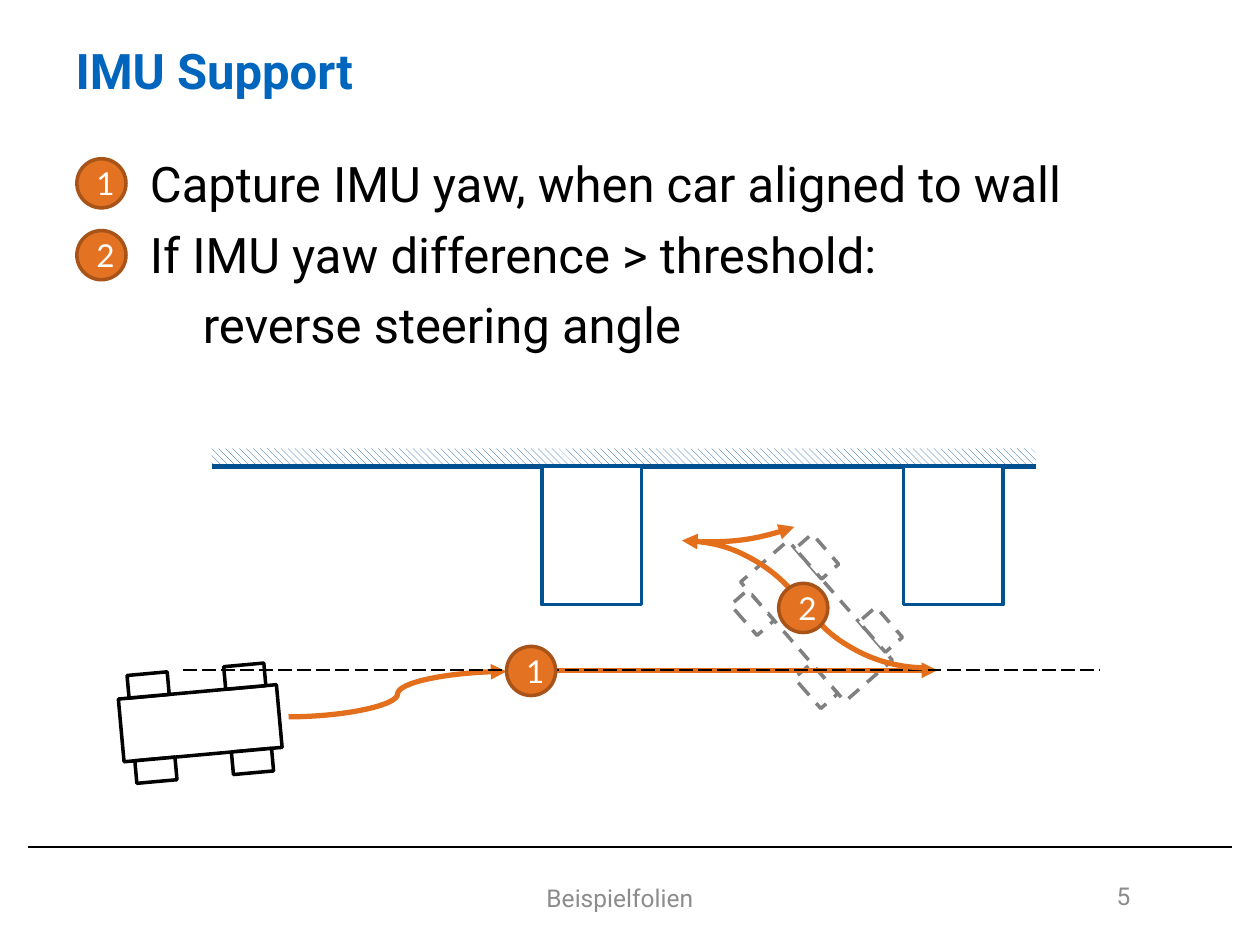
from dataclasses import dataclass
from math import cos, radians, sin

from lxml import etree
from pptx import Presentation
from pptx.dml.color import RGBColor
from pptx.enum.dml import MSO_LINE, MSO_PATTERN
from pptx.enum.shapes import MSO_CONNECTOR, MSO_SHAPE
from pptx.enum.text import MSO_ANCHOR, PP_ALIGN
from pptx.oxml.ns import qn
from pptx.util import Inches, Pt

RECTANGLE, OVAL, ARC = MSO_SHAPE.RECTANGLE, MSO_SHAPE.OVAL, MSO_SHAPE.ARC
STRAIGHT, CURVE = MSO_CONNECTOR.STRAIGHT, MSO_CONNECTOR.CURVE
DASH, LONG_DASH = MSO_LINE.DASH, MSO_LINE.LONG_DASH
LEFT, CENTER, RIGHT = PP_ALIGN.LEFT, PP_ALIGN.CENTER, PP_ALIGN.RIGHT
TOP, MIDDLE = MSO_ANCHOR.TOP, MSO_ANCHOR.MIDDLE
HATCH = MSO_PATTERN.WIDE_DOWNWARD_DIAGONAL


@dataclass(frozen=True)
class Theme:
    title: str = "0065BD"
    ink: str = "000000"
    paper: str = "FFFFFF"
    footer: str = "8C8C8C"
    wall: str = "005293"
    wall_edge: str = "005090"
    ghost: str = "808080"
    route: str = "E36F1D"
    marker: str = "E37222"
    marker_edge: str = "A85419"
    font: str = "Roboto"
    marker_font: str = "Lato"
    large: int = 28
    medium: int = 18
    small: int = 14


theme = Theme()
presentation = Presentation()
presentation.slide_width, presentation.slide_height = Inches(10), Inches(7.5)
slide = presentation.slides.add_slide(presentation.slide_layouts[1])
STEP = presentation.slide_width / 100  # square grid: 100 columns by 75 rows


def write(paragraph, text, size, color, font=theme.font, bold=False, align=LEFT):
    paragraph.alignment = align
    run = paragraph.add_run()
    run.text = text
    run.font.name, run.font.size, run.font.bold = font, Pt(size), bold
    run.font.color.rgb = RGBColor.from_string(color)


def draw(kind, box, color, width, fill=None, dash=None, head=False, tail=False):
    """Box is left, top, width, height for shapes and x1, y1, x2, y2 for lines."""
    lengths = [round(steps * STEP) for steps in box]
    if kind is STRAIGHT or kind is CURVE:
        shape = slide.shapes.add_connector(kind, *lengths)
    else:
        shape = slide.shapes.add_shape(kind, *lengths)
        if fill:
            shape.fill.solid()
            shape.fill.fore_color.rgb = RGBColor.from_string(fill)
        else:
            shape.fill.background()
    shape.line.color.rgb = RGBColor.from_string(color)
    shape.line.width = Pt(width)
    if dash:
        shape.line.dash_style = dash
    properties = shape._element.spPr
    for wanted, tag in ((head, "a:headEnd"), (tail, "a:tailEnd")):
        if wanted:
            etree.SubElement(properties.find(qn("a:ln")), qn(tag), type="triangle")
    etree.SubElement(properties, qn("a:effectLst"))  # no shadow
    return shape


# Footer rule
draw(STRAIGHT, (2.2, 67.2, 97.8, 67.2), theme.ink, 1)

# Title, list and footer frames
title, body = slide.shapes.title, slide.placeholders[1]
footer, number = [slide.shapes.add_textbox(0, 0, 0, 0) for _ in range(2)]
for shape, box, anchor in (
    (title, (5, 1.6, 71.6, 7.9), MIDDLE),
    (body, (5.1, 11.7, 89.8, 54.7), TOP),
    (footer, (16.9, 69.2, 64.6, 4.1), MIDDLE),
    (number, (81.5, 69.1, 9.2, 4), MIDDLE),
):
    shape.left, shape.top, shape.width, shape.height = [round(n * STEP) for n in box]
    shape.text_frame.word_wrap = True
    shape.text_frame.vertical_anchor = anchor

write(title.text_frame.paragraphs[0], "IMU Support", theme.large, theme.title, bold=True)
write(footer.text_frame.paragraphs[0], "Beispielfolien", theme.small, theme.footer, align=CENTER)
write(number.text_frame.paragraphs[0], "5", theme.small, theme.footer, align=RIGHT)

# List: indented past the numbered markers
for index, (text, indent) in enumerate((
    ("Capture IMU yaw, when car aligned to wall", 5.8),
    ("If IMU yaw difference > threshold:", 5.8),
    ("reverse steering angle", 10),
)):
    frame = body.text_frame
    paragraph = frame.add_paragraph() if index else frame.paragraphs[0]
    write(paragraph, text, theme.large, theme.ink)
    paragraph.space_before = Pt(6.6)
    paragraph_properties = paragraph._p.get_or_add_pPr()
    paragraph_properties.set("marL", str(round(indent * STEP)))
    paragraph_properties.set("indent", "0")
    etree.SubElement(paragraph_properties, qn("a:buNone"))

# Cars: a body with four wheels, turned about the centre
for center_x, center_y, angle, color, dash in (
    (64.8, 49.3, 48.9, theme.ghost, DASH),
    (15.9, 57.4, -5.2, theme.ink, None),
):
    cosine, sine = cos(radians(angle)), sin(radians(angle))
    parts = [(0, 0, 12.6, 5)]
    parts += [(x, y, 3.2, 1.8) for x in (-3.85, 3.85) for y in (-3.4, 3.4)]
    for x, y, width, height in parts:
        left = center_x + x * cosine - y * sine - width / 2
        top = center_y + x * sine + y * cosine - height / 2
        part = draw(RECTANGLE, (left, top, width, height), color, 2, theme.paper, dash)
        part.rotation = angle

# Wall with two parked boxes
wall = draw(RECTANGLE, (16.8, 35.6, 65.4, 1.4), theme.wall, 1)
wall.line.fill.background()
wall.fill.patterned()
wall.fill.pattern = HATCH
wall.fill.fore_color.rgb = RGBColor.from_string(theme.wall)
wall.fill.back_color.rgb = RGBColor.from_string(theme.paper)
draw(STRAIGHT, (16.8, 37, 82.2, 37), theme.wall_edge, 3)
for left in (43, 71.7):
    draw(RECTANGLE, (left, 37, 7.9, 11), theme.wall, 2, theme.paper)

# Route: approach, drive along the guide line, then reverse in arcs
draw(CURVE, (22.9, 56.9, 40.2, 53.3), theme.route, 3, tail=True)
draw(STRAIGHT, (43.5, 53.2, 74.4, 53.2), theme.route, 3, tail=True)
draw(STRAIGHT, (14.5, 53.2, 87.3, 53.2), theme.ink, 1, dash=LONG_DASH)
for left, top, size, turn, start, end, head in (
    (61.7, 29.4, 23.6, 180, 162.36, 194.35, False),
    (42.2, 42.9, 23.6, 0, 162.36, 194.35, True),
    (36.6, 3.6, 39.4, 180, 149.99, 163.01, True),
):
    arc = draw(ARC, (left, top, size, size), theme.route, 3, head=head, tail=not head)
    arc.rotation = turn
    arc.adjustments[0], arc.adjustments[1] = start, end

# Numbered markers on the route and beside the list
for label, left, top in (
    ("2", 61.8, 46.3), ("1", 40.2, 51.3), ("1", 6.1, 12.6), ("2", 6.1, 18.3),
):
    marker = draw(OVAL, (left, top, 3.9, 3.9), theme.marker_edge, 2, theme.marker)
    marker.text_frame.vertical_anchor = MIDDLE
    write(marker.text_frame.paragraphs[0], label, theme.medium, theme.paper,
          font=theme.marker_font, align=CENTER)

presentation.save("out.pptx")
